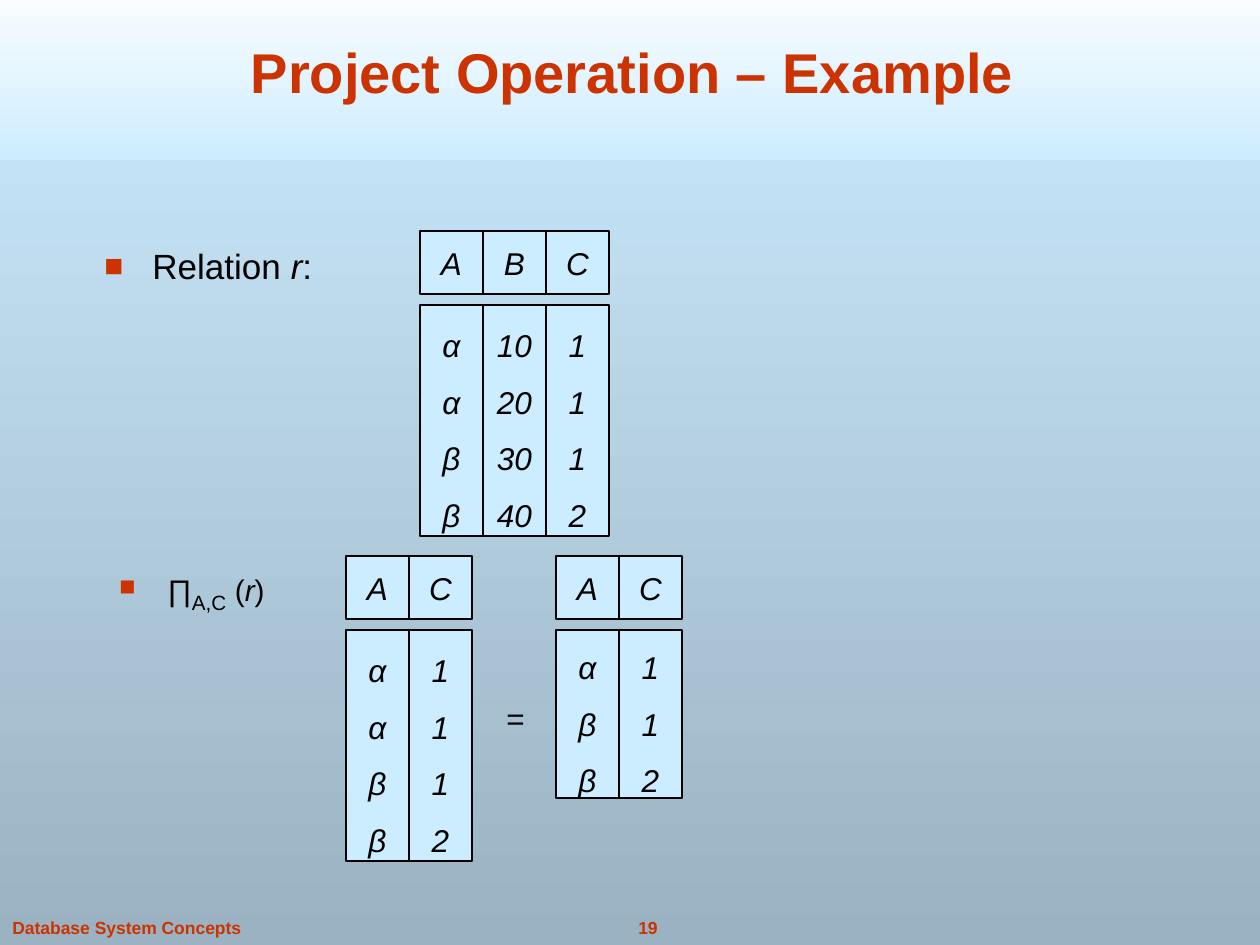
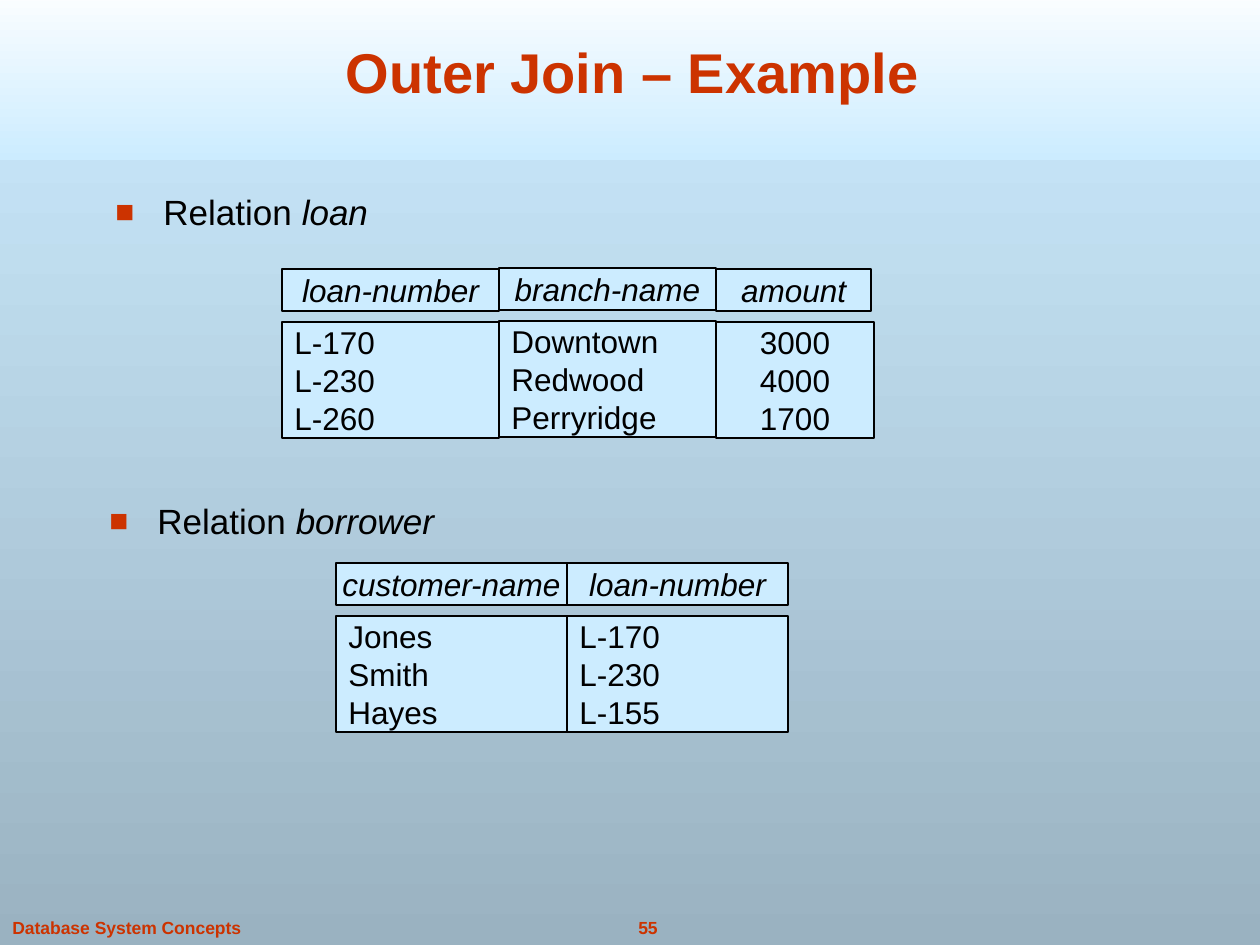
import pptx
import pptx.util
import pptx.dml.color
import pptx.enum.shapes
import pptx.enum.text
import pptx.oxml.ns
import lxml.etree

PX = 914400 / 126
WIDTH, HEIGHT = 1260, 945
COLORS = {
    "accent": "CC3300",
    "ink": "000000",
    "cell": "CCECFF",
    "white": "FFFFFF",
    "depth": "9AB2C1",
}
ALIGN = pptx.enum.text.PP_ALIGN
ANCHOR = pptx.enum.text.MSO_ANCHOR
TITLE = {"size": 32, "bold": True, "color": "accent"}
FOOTER = {"size": 10, "bold": True, "color": "accent"}
BULLET = {"size": 20}
FORMULA = {"size": 17}
BODY = {"size": 18}
ITALIC = {"size": 18, "italic": True}


def emu(px):
    return pptx.util.Emu(round(px * PX))


def rgb(name):
    return pptx.dml.color.RGBColor.from_string(COLORS[name])


class Deck:
    def __init__(self):
        self.presentation = pptx.Presentation()
        self.presentation.slide_width = emu(WIDTH)
        self.presentation.slide_height = emu(HEIGHT)
        self.slide = None

    def gradient(self, fill, start, end):
        fill.gradient()
        fill.gradient_angle = 270
        for stop, name in zip(fill.gradient_stops, (start, end)):
            stop.color.rgb = rgb(name)

    def new_slide(self, title, number):
        self.slide = self.presentation.slides.add_slide(self.presentation.slide_layouts[6])
        self.gradient(self.slide.background.fill, "cell", "depth")
        band = self.rectangle(0, -21, WIDTH, 181)
        self.gradient(band.fill, "white", "cell")
        band.line.fill.background()
        self.text(593, 911, 110, 34, [number], FOOTER, ALIGN.CENTER)
        self.text(0, 911, 290, 34, ["Database System Concepts"], FOOTER, wrap=True)
        self.text(76, 27, 1113, 84, [title], TITLE, ALIGN.CENTER, ANCHOR.BOTTOM, wrap=True)

    def rectangle(self, left, top, width, height):
        shape = self.slide.shapes.add_shape(
            pptx.enum.shapes.MSO_SHAPE.RECTANGLE, *map(emu, (left, top, width, height)))
        shape.shadow.inherit = False
        return shape

    def run(self, paragraph, text, style):
        run = paragraph.add_run()
        run.text = text
        values = {"name": "Arial", "color": "ink", **style}
        run.font.color.rgb = rgb(values.pop("color"))
        baseline = values.pop("baseline", None)
        values["size"] = pptx.util.Pt(values["size"])
        for name, value in values.items():
            setattr(run.font, name, value)
        if baseline:
            run._r.get_or_add_rPr().set("baseline", baseline)

    def fill_frame(self, shape, lines, style, align, anchor, spacing=None, wrap=False):
        frame = shape.text_frame
        frame_format = {
            "word_wrap": wrap, "vertical_anchor": anchor,
            "margin_left": pptx.util.Inches(0.1), "margin_right": pptx.util.Inches(0.1),
            "margin_top": pptx.util.Inches(0.05), "margin_bottom": pptx.util.Inches(0.05),
        }
        for name, value in frame_format.items():
            setattr(frame, name, value)
        for index, line in enumerate(lines):
            paragraph = frame.add_paragraph() if index else frame.paragraphs[0]
            paragraph.alignment = align
            paragraph.line_spacing = spacing
            self.run(paragraph, line, style)

    def text(self, left, top, width, height, lines, style,
             align=ALIGN.LEFT, anchor=ANCHOR.TOP, wrap=False):
        box = self.slide.shapes.add_textbox(*map(emu, (left, top, width, height)))
        self.fill_frame(box, lines, style, align, anchor, wrap=wrap)
        return box

    def bullet(self, left, top, runs, style, height=67, spacing=None):
        box = self.text(left, top, 969, height, [], style, wrap=True)
        paragraph = box.text_frame.paragraphs[0]
        properties = paragraph._p.get_or_add_pPr()
        properties.set("marL", str(emu(48)))
        properties.set("indent", str(emu(-48)))
        qualify = pptx.oxml.ns.qn
        color = lxml.etree.SubElement(properties, qualify("a:buClr"))
        lxml.etree.SubElement(color, qualify("a:srgbClr"), val=COLORS["accent"])
        lxml.etree.SubElement(properties, qualify("a:buSzPct"), val="90000")
        lxml.etree.SubElement(properties, qualify("a:buFont"), typeface="Arial")
        lxml.etree.SubElement(properties, qualify("a:buChar"), char="■")
        paragraph.line_spacing = spacing
        for text, change in runs:
            self.run(paragraph, text, {**style, **change})

    def cell(self, left, top, width, height, lines, style, align, spacing=None):
        shape = self.rectangle(left, top, width, height)
        shape.fill.solid()
        shape.fill.fore_color.rgb = rgb("cell")
        shape.line.color.rgb = rgb("ink")
        shape.line.width = pptx.util.Pt(0.75)
        self.fill_frame(shape, lines, style, align, ANCHOR.MIDDLE, spacing)

    def column(self, left, top, width, header, values, header_height, body_height,
               style=BODY, align=ALIGN.LEFT, spacing=None, body_width=None):
        self.cell(left, top, width, header_height, [header], ITALIC, ALIGN.CENTER)
        self.cell(left, top + header_height + 11, body_width or width, body_height,
                  values, style, align, spacing)

    def symbol_relation(self, left, top, columns, body_height):
        for index, (header, values) in enumerate(columns.items()):
            self.column(left + 63 * index, top, 63, header, values.split(), 63, body_height,
                        ITALIC, ALIGN.CENTER, 1.5)


def project_operation(deck):
    deck.new_slide("Project Operation – Example", "19")
    deck.bullet(92, 238, [("Relation", {}), (" r", {"italic": True}), (":", {})], BULLET, 57)
    deck.symbol_relation(420, 231, {"A": "α α β β", "B": "10 20 30 40", "C": "1 1 1 2"}, 231)
    deck.symbol_relation(346, 556, {"A": "α α β β", "C": "1 1 1 2"}, 231)
    deck.text(494, 693, 43, 50, ["="], BODY, ALIGN.CENTER, ANCHOR.MIDDLE)
    deck.symbol_relation(556, 556, {"A": "α β β", "C": "1 1 2"}, 168)
    projection = [("∏", {}), ("A,C", {"size": 20.4, "baseline": "-25000"}),
                  (" (", {}), ("r", {"italic": True}), (")", {})]
    deck.bullet(107, 560, projection, FORMULA, 57, 0.9)


def outer_join(deck):
    deck.new_slide("Outer Join – Example", "55")
    deck.bullet(103, 184, [("Relation ", {}), ("loan", {"italic": True})], BULLET)
    deck.bullet(97, 493, [("Relation ", {}), ("borrower", {"italic": True})], BULLET)
    heights = {"header_height": 42, "body_height": 116}
    borrower = [
        (336, 231, "customer-name", ["Jones", "Smith", "Hayes"]),
        (567, 221, "loan-number", ["L-170", "L-230", "L-155"]),
    ]
    for left, width, header, values in borrower:
        deck.column(left, 563, width, header, values, **heights)
    deck.column(716, 269, 155, "amount", ["3000", "4000", "1700"],
                align=ALIGN.CENTER, body_width=158, **heights)
    deck.column(282, 269, 217, "loan-number", ["L-170", "L-230", "L-260"], **heights)
    deck.column(499, 268, 217, "branch-name", ["Downtown", "Redwood", "Perryridge"], **heights)


def main():
    deck = Deck()
    project_operation(deck)
    outer_join(deck)
    deck.presentation.save("out.pptx")


if __name__ == "__main__":
    main()
